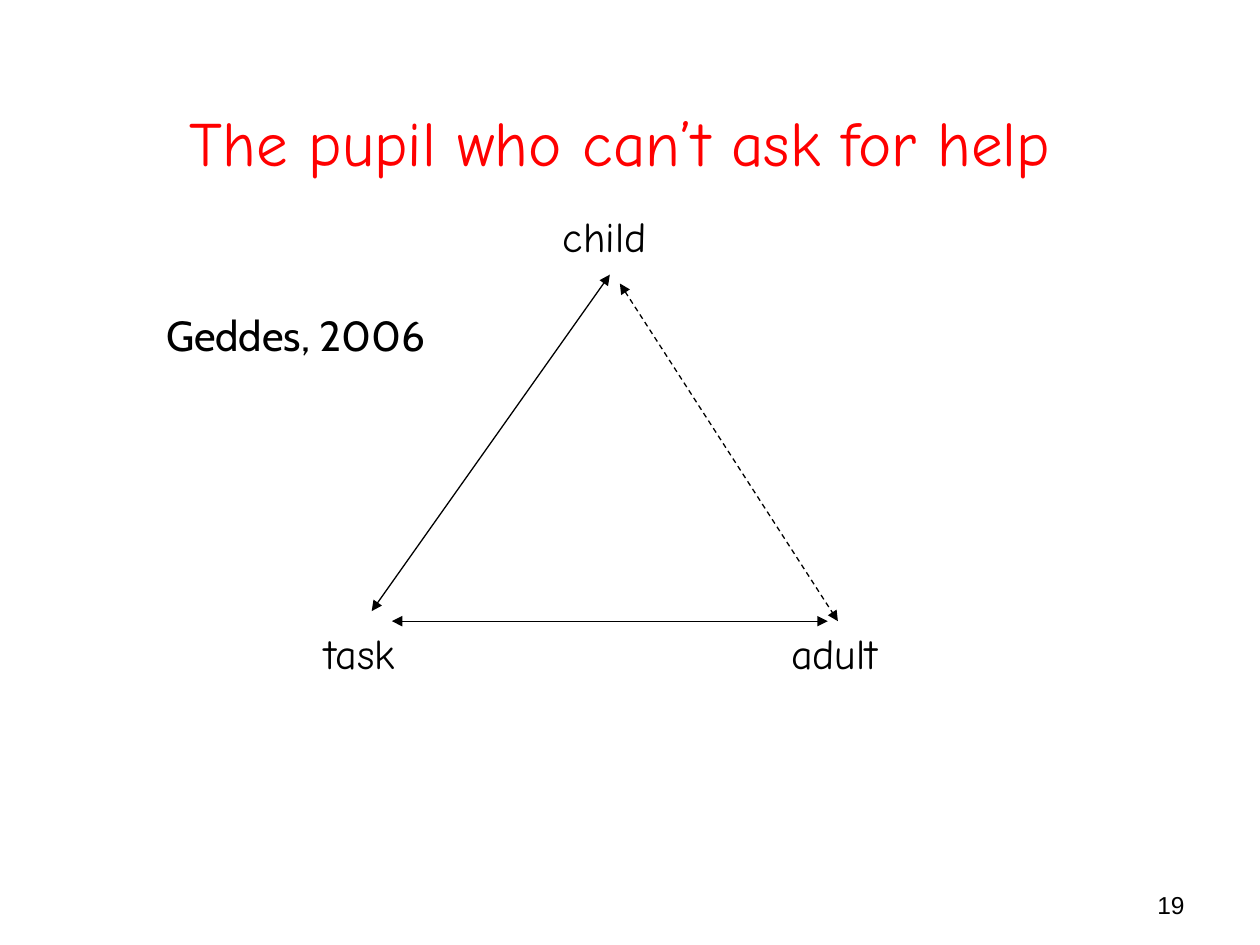
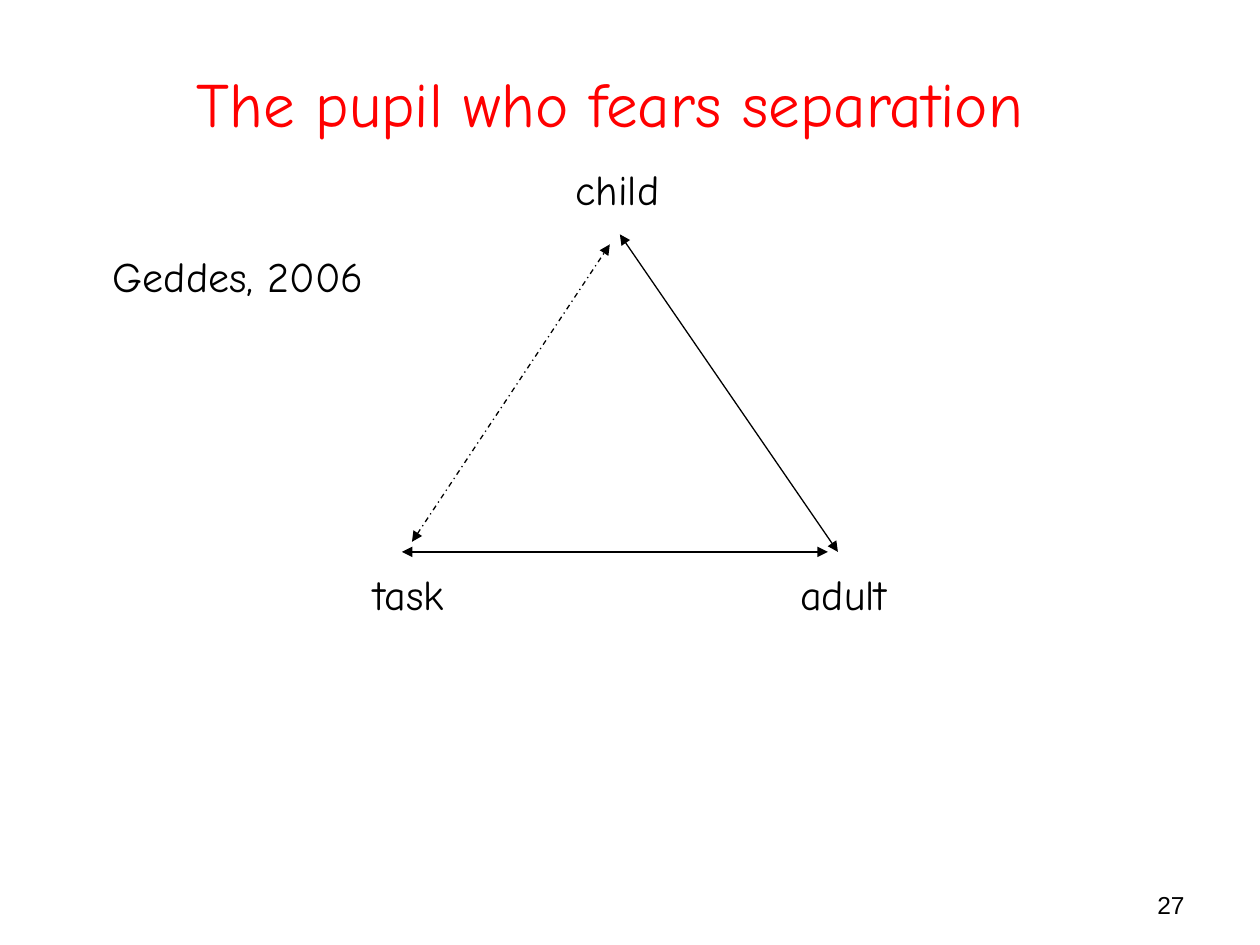
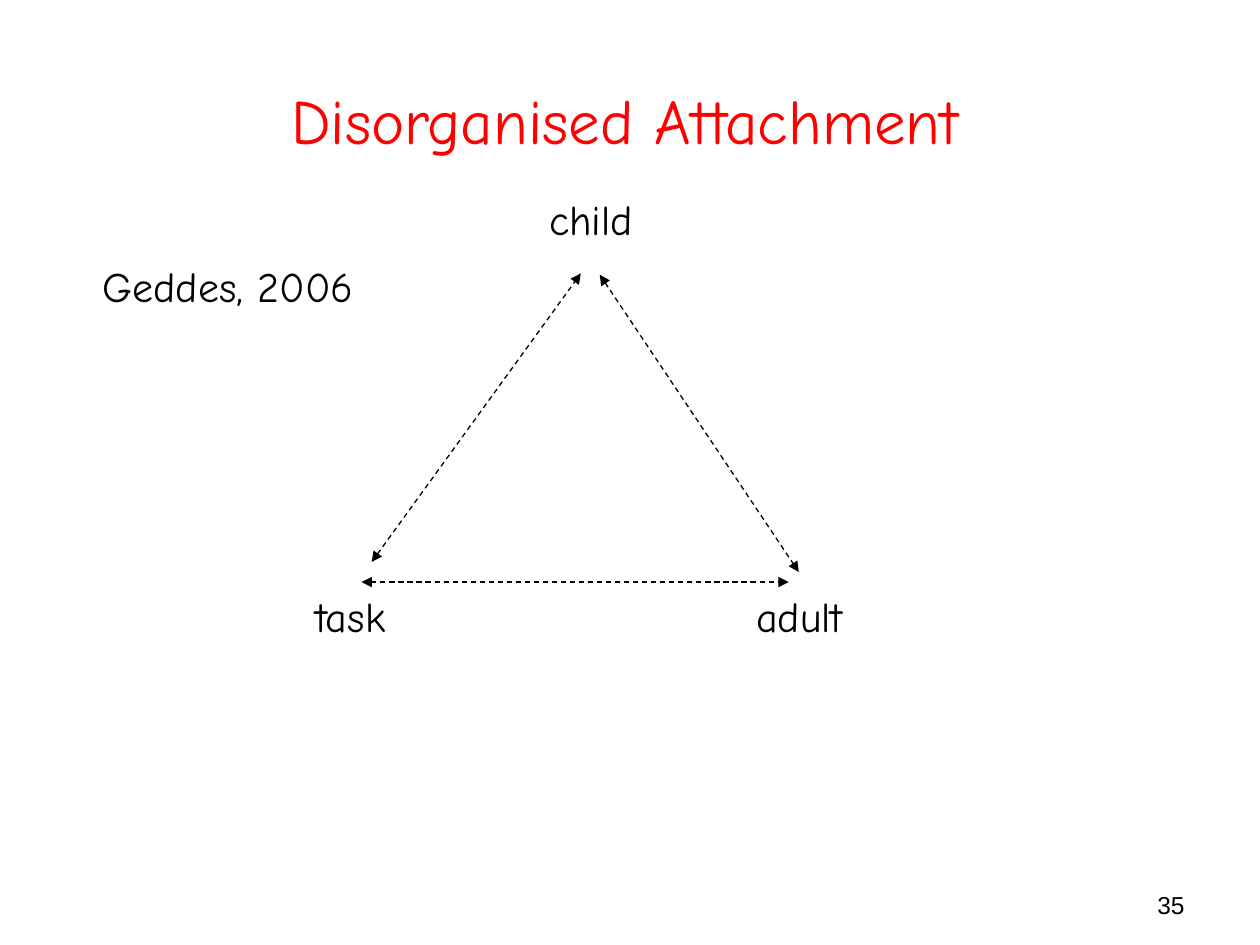
import dataclasses

import lxml.etree
import pptx
import pptx.dml.color
import pptx.enum.dml
import pptx.enum.shapes
import pptx.enum.text
import pptx.oxml.ns
import pptx.util

RED = pptx.dml.color.RGBColor(0xFF, 0x00, 0x00)
BLACK = pptx.dml.color.RGBColor(0x00, 0x00, 0x00)
HAND_FONT = "Comic Neue"
PAGE_FONT = "Arial"
CITATION = "Geddes, 2006"

SLIDE_WIDTH = pptx.util.Inches(10)
SLIDE_HEIGHT = pptx.util.Inches(7.5)
COLUMNS, ROWS = 100, 75
LABEL_ROWS = 5
TITLE_ROWS = 7

LEFT = pptx.enum.text.PP_ALIGN.LEFT
CENTER = pptx.enum.text.PP_ALIGN.CENTER
RIGHT = pptx.enum.text.PP_ALIGN.RIGHT
TOP = pptx.enum.text.MSO_ANCHOR.TOP
BOTTOM = pptx.enum.text.MSO_ANCHOR.BOTTOM
SOLID = pptx.enum.dml.MSO_LINE.SOLID
DASH = pptx.enum.dml.MSO_LINE.DASH
DASH_DOT = pptx.enum.dml.MSO_LINE.DASH_DOT


@dataclasses.dataclass
class Triangle:
    title: str
    title_area: tuple
    page: int
    corners: dict
    bonds: list
    citation_area: tuple
    citation_font: str = HAND_FONT
    label_align: int = CENTER


TRIANGLES = [
    Triangle(
        title="The pupil who can’t ask for help",
        title_area=(5.9, 7.7, 86.6, TITLE_ROWS),
        page=19,
        corners={
            "child": (43.7, 16.2, 15),
            "task": (24.8, 49.3, 11.8),
            "adult": (61.8, 49.3, 18.9),
        },
        bonds=[
            ((29.5, 48.5), (48.4, 21.8), SOLID),
            ((31.1, 49.3), (65.7, 49.3), SOLID),
            ((49.2, 22.5), (66.5, 49.3), DASH),
        ],
        citation_area=(12.2, 24.1, 24.4, 11.1),
        citation_font="Cabin",
        label_align=LEFT,
    ),
    Triangle(
        title="The pupil who fears separation",
        title_area=(5.1, 4.6, 86.6, TITLE_ROWS),
        page=27,
        corners={
            "child": (44.1, 12.5, 9.8),
            "task": (22, 44.6, 20.9),
            "adult": (59.5, 44.6, 14.9),
        },
        bonds=[
            ((49.2, 18.6), (66.5, 43.8), SOLID),
            ((65.7, 43.8), (31.9, 43.8), SOLID),
            ((32.7, 43), (48.4, 19.4), DASH_DOT),
        ],
        citation_area=(5.1, 19.4, 27.6, LABEL_ROWS),
    ),
    Triangle(
        title="Disorganised Attachment",
        title_area=(4.3, 6, 90.6, TITLE_ROWS),
        page=35,
        corners={
            "child": (42, 14.9, 9.8),
            "task": (21.3, 46.4, 13),
            "adult": (54.8, 46.4, 17.3),
        },
        bonds=[
            ((28.7, 46.2), (62.6, 46.2), DASH),
            ((29.5, 44.6), (46.1, 21.7), DASH),
            ((47.6, 21.8), (63.4, 45.4), DASH),
        ],
        citation_area=(5.9, 20.2, 24.4, LABEL_ROWS),
    ),
]


def across(columns):
    return round(SLIDE_WIDTH * columns / COLUMNS)


def down(rows):
    return round(SLIDE_HEIGHT * rows / ROWS)


def add_text(slide, text, area, size, font=HAND_FONT, color=BLACK, align=CENTER, anchor=TOP):
    left, top, width, height = area
    box = slide.shapes.add_textbox(across(left), down(top), across(width), down(height))
    frame = box.text_frame
    frame.word_wrap = True
    frame.vertical_anchor = anchor
    paragraph = frame.paragraphs[0]
    paragraph.text = text
    paragraph.alignment = align
    paragraph.font.name = font
    paragraph.font.size = pptx.util.Pt(size)
    paragraph.font.color.rgb = color


def add_bond(slide, start, end, dash):
    bond = slide.shapes.add_connector(
        pptx.enum.shapes.MSO_CONNECTOR.STRAIGHT,
        across(start[0]), down(start[1]), across(end[0]), down(end[1]),
    )
    bond.line.color.rgb = BLACK
    bond.line.width = pptx.util.Pt(0.75)
    bond.line.dash_style = dash
    outline = bond.line._get_or_add_ln()
    for tip in ("a:headEnd", "a:tailEnd"):
        lxml.etree.SubElement(outline, pptx.oxml.ns.qn(tip), type="triangle")
    lxml.etree.SubElement(bond._element.spPr, pptx.oxml.ns.qn("a:effectLst"))


def add_triangle_slide(presentation, triangle):
    slide = presentation.slides.add_slide(presentation.slide_layouts[6])
    add_text(slide, str(triangle.page), (71.7, 68.3, 23.3, 5.2), 14,
             font=PAGE_FONT, align=RIGHT, anchor=BOTTOM)
    for start, end, dash in triangle.bonds:
        add_bond(slide, start, end, dash)
    for corner, place in triangle.corners.items():
        add_text(slide, corner, (*place, LABEL_ROWS), 24, align=triangle.label_align)
    add_text(slide, CITATION, triangle.citation_area, 24,
             font=triangle.citation_font, align=triangle.label_align)
    add_text(slide, triangle.title, triangle.title_area, 36, color=RED)


def main():
    presentation = pptx.Presentation()
    presentation.slide_width = SLIDE_WIDTH
    presentation.slide_height = SLIDE_HEIGHT
    for triangle in TRIANGLES:
        add_triangle_slide(presentation, triangle)
    presentation.save("out.pptx")


if __name__ == "__main__":
    main()
